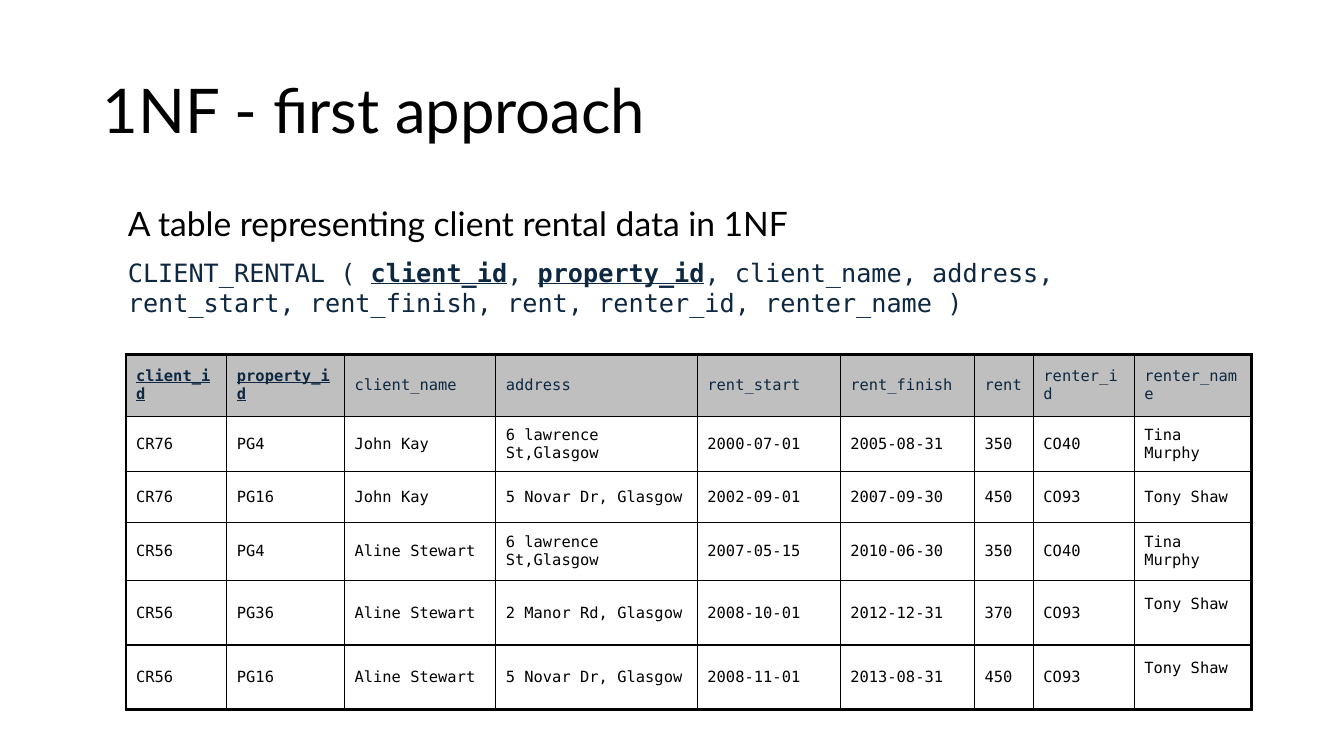
"""Build the slide on a first approach to 1NF, with its client rental table."""
from lxml.etree import SubElement
from pptx import Presentation
from pptx.dml.color import RGBColor
from pptx.enum.text import MSO_ANCHOR
from pptx.oxml.ns import qn
from pptx.util import Inches, Pt

SANS, MONO = "Lato", "DejaVu Sans Mono"
BLACK, NAVY, GRAY = "000000", "0E2841", "BFBFBF"
THIN, THICK = 1, 2.25

TITLE = "1NF - first approach"
INTRO = "A table representing client rental data in 1NF"
KEYS = ("client_id", "property_id")
SCHEMA = ("CLIENT_RENTAL ( ", "client_id", ", ", "property_id",
          ", client_name, address, rent_start, rent_finish, rent, renter_id, renter_name )")
ROWS = [
    ("client_id", "property_id", "client_name", "address", "rent_start",
     "rent_finish", "rent", "renter_id", "renter_name"),
    ("CR76", "PG4", "John Kay", "6 lawrence St,Glasgow", "2000-07-01",
     "2005-08-31", "350", "CO40", "Tina Murphy"),
    ("CR76", "PG16", "John Kay", "5 Novar Dr, Glasgow", "2002-09-01",
     "2007-09-30", "450", "CO93", "Tony Shaw"),
    ("CR56", "PG4", "Aline Stewart", "6 lawrence St,Glasgow", "2007-05-15",
     "2010-06-30", "350", "CO40", "Tina Murphy"),
    ("CR56", "PG36", "Aline Stewart", "2 Manor Rd, Glasgow", "2008-10-01",
     "2012-12-31", "370", "CO93", "Tony Shaw"),
    ("CR56", "PG16", "Aline Stewart", "5 Novar Dr, Glasgow", "2008-11-01",
     "2013-08-31", "450", "CO93", "Tony Shaw"),
]
COL_TWELFTHS = (12, 14, 18, 24, 17, 16, 7, 12, 14)
ROW_HEIGHTS = (0.61, 0.55, 0.5, 0.58, 0.64, 0.64)
RAISED = {(4, 8), (5, 8)}


def rgb(color):
    """Turn a hex string into a colour."""
    return RGBColor.from_string(color)


def style(r, font, size, color, key=False):
    """Format a run; key columns are bold and underlined."""
    r.font.name, r.font.size = font, Pt(size)
    r.font.color.rgb = rgb(color)
    r.font.bold = r.font.underline = key


def add_text(s, left, top, width, height):
    """Add a wrapping text box and return its frame."""
    tf = s.shapes.add_textbox(*map(Inches, (left, top, width, height))).text_frame
    tf.word_wrap = True
    return tf


def add_borders(cell, widths):
    """Draw the left, right, top and bottom edges of a cell."""
    tc_pr = cell._tc.get_or_add_tcPr()
    for side, width in zip("LRTB", widths):
        ln = SubElement(tc_pr, qn(f"a:ln{side}"), w=str(Pt(width)))
        fill = SubElement(ln, qn("a:solidFill"))
        SubElement(fill, qn("a:srgbClr"), val=BLACK)


def add_rentals(s, left, top):
    """Add the rental table with a thick outer frame."""
    widths = [n / 12 for n in COL_TWELFTHS]
    box = map(Inches, (left, top, sum(widths), sum(ROW_HEIGHTS)))
    table = s.shapes.add_table(len(ROWS), len(widths), *box).table
    table.first_row = table.horz_banding = False
    for col, width in zip(table.columns, widths):
        col.width = Inches(width)
    last_row, last_col = len(ROWS) - 1, len(widths) - 1
    for i, values in enumerate(ROWS):
        table.rows[i].height = Inches(ROW_HEIGHTS[i])
        for j, value in enumerate(values):
            cell = table.cell(i, j)
            cell.margin_left = cell.margin_right = Inches(0.1)
            cell.margin_top = 0
            cell.margin_bottom = Inches(0.18 if (i, j) in RAISED else 0)
            cell.vertical_anchor = MSO_ANCHOR.MIDDLE
            outer = (j == 0, j == last_col, i == 0, i == last_row)
            add_borders(cell, [THICK if edge else THIN for edge in outer])
            if i == 0:
                cell.fill.solid()
                cell.fill.fore_color.rgb = rgb(GRAY)
            else:
                cell.fill.background()
            p = cell.text_frame.paragraphs[0]
            p.text = value
            p.space_before = Pt(2.2)
            style(p.runs[0], MONO, 11, BLACK if i else NAVY, value in KEYS)


def main():
    """Lay out the slide and save it."""
    prs = Presentation()
    prs.slide_width, prs.slide_height = Inches(13.33), Inches(7.5)
    s = prs.slides.add_slide(prs.slide_layouts[6])

    tf = add_text(s, 0.92, 0.4, 11.5, 1.45)
    tf.vertical_anchor = MSO_ANCHOR.MIDDLE
    tf.text = TITLE
    p = tf.paragraphs[0]
    p.line_spacing = 0.9
    style(p.runs[0], SANS, 44, BLACK)

    tf = add_text(s, 1.17, 1.96, 10.17, 1.26)
    tf.text = INTRO
    style(tf.paragraphs[0].runs[0], SANS, 24, BLACK)
    p = tf.add_paragraph()
    p.space_before = Pt(10)
    for part in SCHEMA:
        r = p.add_run()
        r.text = part
        style(r, MONO, 18, NAVY, part in KEYS)

    add_rentals(s, 1.25, 3.52)
    prs.save("out.pptx")


if __name__ == "__main__":
    main()
